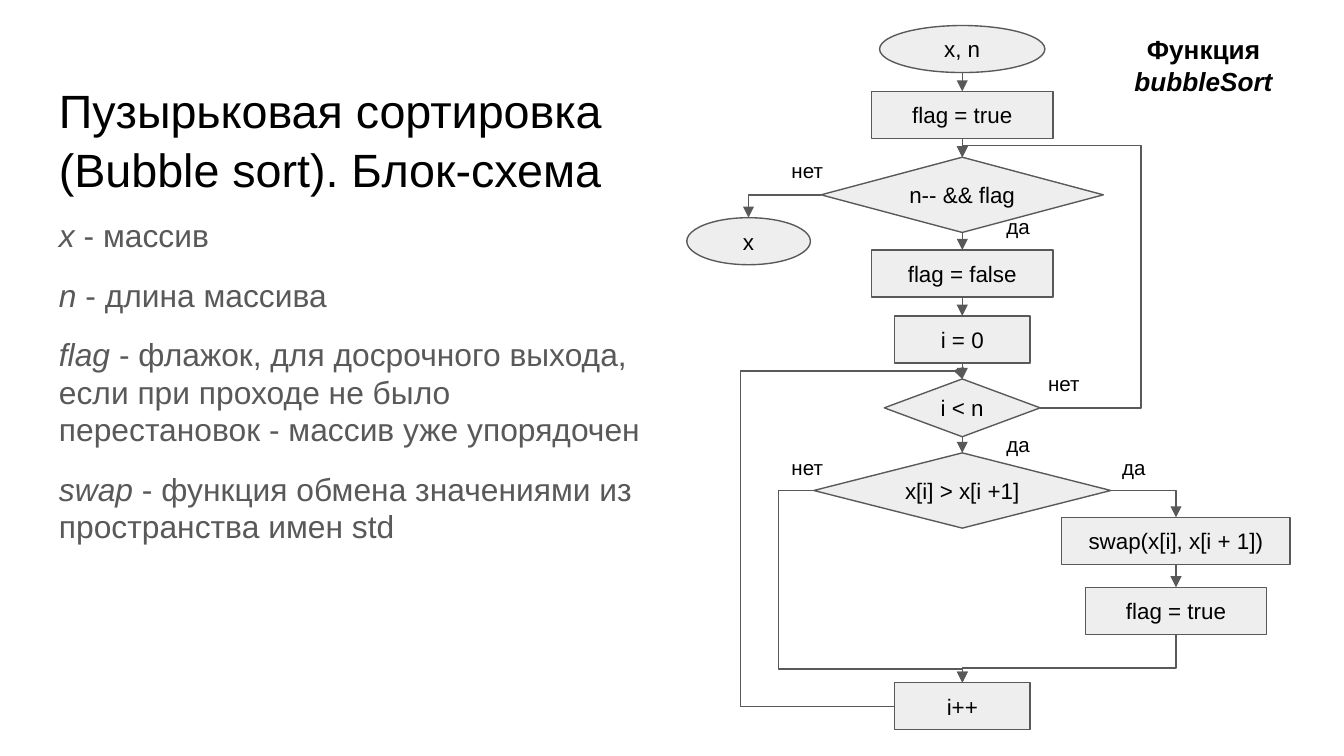
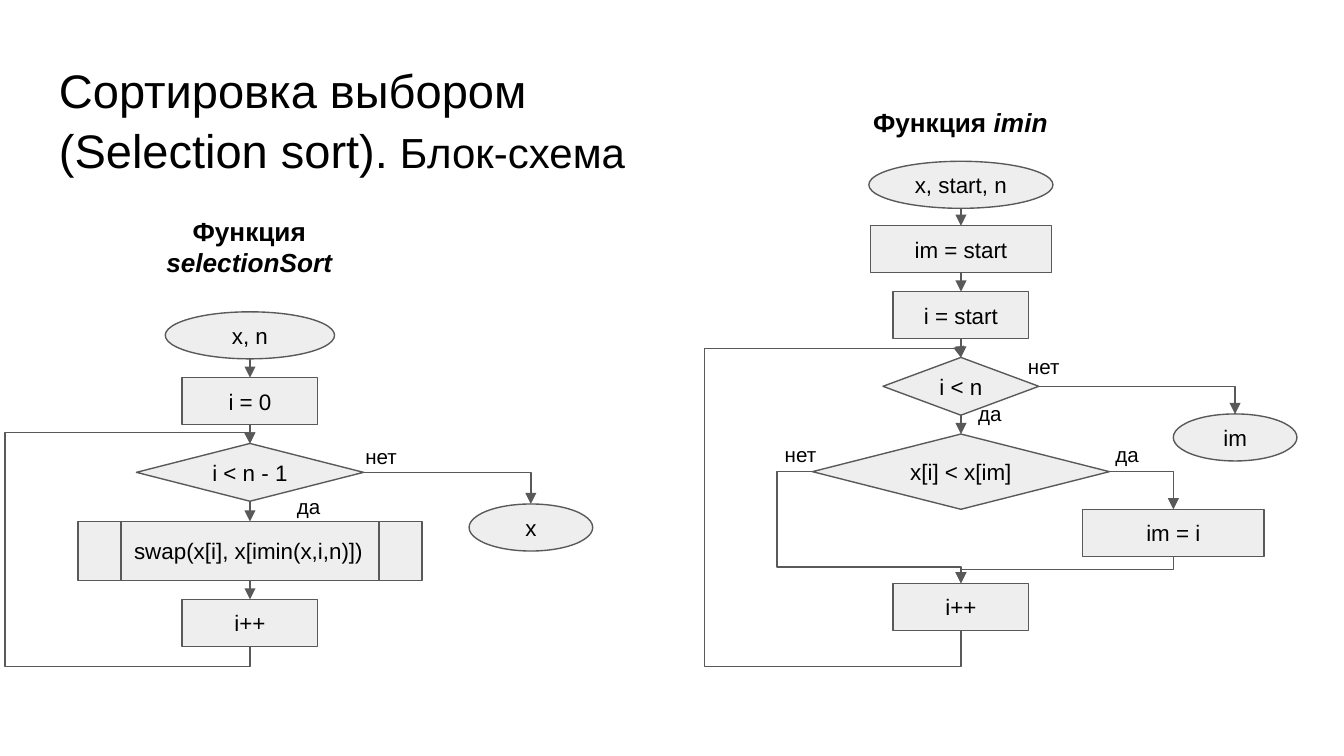
from lxml import etree
from pptx import Presentation
from pptx.dml.color import RGBColor
from pptx.enum.shapes import MSO_CONNECTOR, MSO_SHAPE
from pptx.enum.text import MSO_ANCHOR, PP_ALIGN
from pptx.oxml.ns import qn
from pptx.util import Pt

EMU_PER_PX = 9144
MIN_SPAN = 600
FONT = "Arial"
COLORS = {"text": "000000", "muted": "595959", "line": "595959", "fill": "EEEEEE"}
LEFT, CENTER = PP_ALIGN.LEFT, PP_ALIGN.CENTER
TOP, MIDDLE = MSO_ANCHOR.TOP, MSO_ANCHOR.MIDDLE
STRAIGHT, ELBOW = MSO_CONNECTOR.STRAIGHT, MSO_CONNECTOR.ELBOW
BOX, OVAL, CHOICE = MSO_SHAPE.RECTANGLE, MSO_SHAPE.OVAL, MSO_SHAPE.DIAMOND
CALL = MSO_SHAPE.FLOWCHART_PREDEFINED_PROCESS
SIDES = ["top", "left", "bottom", "right"]


def px(value):
    return value * EMU_PER_PX


def color(name):
    return RGBColor.from_string(COLORS[name])


def prepare_frame(shape, anchor=TOP):
    frame = shape.text_frame
    frame.word_wrap = True
    frame.vertical_anchor = anchor
    frame.margin_left = frame.margin_right = px(10)
    frame.margin_top = frame.margin_bottom = px(10)
    return frame


def add_runs(paragraph, runs, ink="text"):
    for text, size, style in runs:
        run = paragraph.add_run()
        run.text = text
        run.font.name = FONT
        run.font.size = Pt(size)
        run.font.bold = "b" in style
        run.font.italic = "i" in style
        run.font.color.rgb = color(ink)


def add_text(slide, box, paragraphs, align=LEFT, ink="text", spacing=1.0, gap=0):
    shape = slide.shapes.add_textbox(*map(px, box))
    frame = prepare_frame(shape)
    for index, runs in enumerate(paragraphs):
        paragraph = frame.paragraphs[0] if index == 0 else frame.add_paragraph()
        paragraph.alignment = align
        paragraph.line_spacing = spacing
        paragraph.space_before = Pt(gap if index else 0)
        add_runs(paragraph, runs, ink)


def add_title(slide, top, runs):
    add_text(slide, (34, top, 470, 117), [runs], spacing=1.05)


def add_definitions(slide, box, definitions):
    paragraphs = [[(term, 17, "i"), (" - " + meaning, 17, "")]
                  for term, meaning in definitions]
    add_text(slide, box, paragraphs, ink="muted", spacing=0.98, gap=12)


def add_heading(slide, box, function_name):
    runs = [("Функция ", 14, "b"), (function_name, 14, "bi")]
    add_text(slide, box, [runs], align=CENTER)


def add_node(slide, origin, kind, text, center, top, width, height=35):
    left = px(origin[0] + center) - px(width) // 2
    shape = slide.shapes.add_shape(
        kind, left, px(origin[1] + top), px(width), px(height))
    shape.shadow.inherit = False
    shape.fill.solid()
    shape.fill.fore_color.rgb = color("fill")
    shape.line.color.rgb = color("line")
    shape.line.width = Pt(0.75)
    paragraph = prepare_frame(shape, MIDDLE).paragraphs[0]
    paragraph.alignment = LEFT if kind == CALL else CENTER
    add_runs(paragraph, [(text, 12, "")])
    return shape


def site_point(shape, side):
    across, down = {"top": (1, 0), "left": (0, 1),
                    "bottom": (1, 2), "right": (2, 1)}[side]
    return (shape.left + shape.width * across // 2,
            shape.top + shape.height * down // 2)


def glue(connector, tag, shape, side):
    step = 2 if shape.auto_shape_type == OVAL else 1
    holder = connector._element.find(".//" + qn("p:cNvCxnSpPr"))
    etree.SubElement(holder, qn(tag), id=str(shape.shape_id),
                     idx=str(SIDES.index(side) * step))


def add_arrow(slide, origin, begin, side, end, bends=()):
    x1, y1 = site_point(begin, side)
    x2, y2 = site_point(end, "top")
    dx, dy = x2 - x1, y2 - y1
    upward = dy < 0
    straight = side == "bottom" and not bends
    width, height, turn, flip = abs(dx), abs(dy), 0, False
    axes = ["x", "y"]
    if side == "bottom" and bends:
        width, height = abs(dy), max(abs(dx), MIN_SPAN)
        turn = 270 if upward else 90
        axes = ["y", "x", "y"]
    elif not straight:
        turn = 180 if upward else 0
        flip = (dx < 0) != upward
    left = (x1 + x2 - width) // 2
    top = (y1 + y2 - height) // 2
    connector = slide.shapes.add_connector(
        STRAIGHT if straight else ELBOW, left, top, left + width, top + height)
    glue(connector, "a:stCxn", begin, side)
    glue(connector, "a:endCxn", end, "top")
    connector.line.color.rgb = color("line")
    connector.line.width = Pt(0.75)
    properties = connector._element.spPr
    etree.SubElement(properties.find(qn("a:ln")), qn("a:tailEnd"), type="triangle")
    etree.SubElement(properties, qn("a:effectLst"))
    if straight:
        return
    transform = properties.find(qn("a:xfrm"))
    if turn:
        transform.set("rot", str(turn * 60000))
    if flip:
        transform.set("flipH", "1")
    geometry = properties.find(qn("a:prstGeom"))
    geometry.set("prst", f"bentConnector{len(bends) + 2}")
    guides = geometry.find(qn("a:avLst"))
    for number, (axis, bend) in enumerate(zip(axes, bends), 1):
        if axis == "x":
            share = (px(origin[0] + bend) - x1) / (dx or MIN_SPAN)
        else:
            share = (px(origin[1] + bend) - y1) / dy
        etree.SubElement(guides, qn("a:gd"), name=f"adj{number}",
                         fmla=f"val {round(share * 100000)}")


def add_flowchart(slide, origin, nodes, trunk, branches, labels):
    shapes = {name: add_node(slide, origin, *node) for name, node in nodes.items()}
    for begin, end in zip(trunk, trunk[1:]):
        add_arrow(slide, origin, shapes[begin], "bottom", shapes[end])
    for begin, side, end, bends in branches:
        add_arrow(slide, origin, shapes[begin], side, shapes[end], bends)
    for text, left, top in labels:
        box = (origin[0] + left, origin[1] + top, 51, 39)
        add_text(slide, box, [[(text, 11, "")]])


def add_bubble_chart(slide, origin):
    nodes = {
        "start": (OVAL, "x, n", 0, 0, 123),
        "flag_on": (BOX, "flag = true", 0, 49, 135),
        "outer": (CHOICE, "n-- && flag", 0, 98, 210, 56),
        "flag_off": (BOX, "flag = false", 0, 167, 135),
        "init": (BOX, "i = 0", 0, 216, 101),
        "inner": (CHOICE, "i < n", 0, 263, 116, 43),
        "compare": (CHOICE, "x[i] > x[i +1]", 0, 318, 221, 56),
        "swap": (BOX, "swap(x[i], x[i + 1])", 159, 366, 170),
        "flag_set": (BOX, "flag = true", 159, 418, 135),
        "next": (BOX, "i++", 0, 489, 101),
        "result": (OVAL, "x", -159, 143, 92),
    }
    trunk = ["start", "flag_on", "outer", "flag_off", "init", "inner", "compare"]
    branches = [
        ("compare", "right", "swap", ()),
        ("swap", "bottom", "flag_set", ()),
        ("flag_set", "bottom", "next", (478,)),
        ("compare", "left", "next", (-137, 479)),
        ("next", "left", "inner", (-165, 257)),
        ("inner", "right", "outer", (133, 89)),
        ("outer", "left", "result", ()),
    ]
    labels = [("да", 23, 131), ("нет", -137, 310), ("да", 109, 310),
              ("да", 23, 293), ("нет", 54, 248), ("нет", -137, 89)]
    add_flowchart(slide, origin, nodes, trunk, branches, labels)
    add_heading(slide, (origin[0] + 100, origin[1] - 4, 159, 67), "bubbleSort")


def add_minimum_chart(slide, origin):
    nodes = {
        "start": (OVAL, "x, start, n", 0, 0, 137),
        "minimum": (BOX, "im = start", 0, 48, 135),
        "init": (BOX, "i = start", 0, 97, 101),
        "loop": (CHOICE, "i < n", 0, 146, 116, 43),
        "compare": (CHOICE, "x[i] < x[im]", 0, 203, 221, 56),
        "assign": (BOX, "im = i", 158, 259, 135),
        "next": (BOX, "i++", 0, 314, 101),
        "result": (OVAL, "im", 204, 188, 92),
    }
    trunk = ["start", "minimum", "init", "loop", "compare"]
    branches = [
        ("compare", "right", "assign", ()),
        ("assign", "bottom", "next", (304,)),
        ("compare", "left", "next", (-137, 302)),
        ("next", "bottom", "loop", (376, -159, 139)),
        ("loop", "right", "result", ()),
    ]
    labels = [("нет", -141, 200), ("да", 105, 200), ("да", 3, 169), ("нет", 40, 134)]
    add_flowchart(slide, origin, nodes, trunk, branches, labels)
    add_heading(slide, (origin[0] - 90, origin[1] - 51, 179, 44), "imin")


def add_selection_chart(slide, origin):
    nodes = {
        "start": (OVAL, "x, n", 0, 0, 126),
        "init": (BOX, "i = 0", 0, 49, 101),
        "loop": (CHOICE, "i < n - 1", 0, 98, 169, 43),
        "swap": (CALL, "swap(x[i], x[imin(x,i,n)])", 0, 156, 256, 44),
        "next": (BOX, "i++", 0, 214, 101),
        "result": (OVAL, "x", 209, 143, 92),
    }
    trunk = ["start", "init", "loop", "swap", "next"]
    branches = [
        ("next", "bottom", "loop", (264, -152, 90)),
        ("loop", "right", "result", ()),
    ]
    labels = [("да", 25, 126), ("нет", 76, 89)]
    add_flowchart(slide, origin, nodes, trunk, branches, labels)
    add_heading(slide, (origin[0] - 90, origin[1] - 82, 179, 67), "selectionSort")


def build_bubble_slide(slide):
    add_title(slide, 49, [("Пузырьковая сортировка (Bubble sort). Блок-схема", 25, "")])
    add_definitions(slide, (34, 152, 462, 374), [
        ("x", "массив"),
        ("n", "длина массива"),
        ("flag", "флажок, для досрочного выхода, если при проходе "
                 "не было перестановок - массив уже упорядочен"),
        ("swap", "функция обмена значениями из пространства имен std"),
    ])
    add_bubble_chart(slide, (716, 19))


def build_selection_slide(slide):
    add_title(slide, 34, [("Сортировка выбором (Selection sort).", 25.2, ""),
                          (" Блок-схема", 22.5, "")])
    add_minimum_chart(slide, (715, 120))
    add_selection_chart(slide, (186, 232))


def main():
    presentation = Presentation()
    presentation.slide_width = px(1000)
    presentation.slide_height = px(1000) * 9 // 16
    for build in (build_bubble_slide, build_selection_slide):
        build(presentation.slides.add_slide(presentation.slide_layouts[6]))
    presentation.save("out.pptx")


if __name__ == "__main__":
    main()
